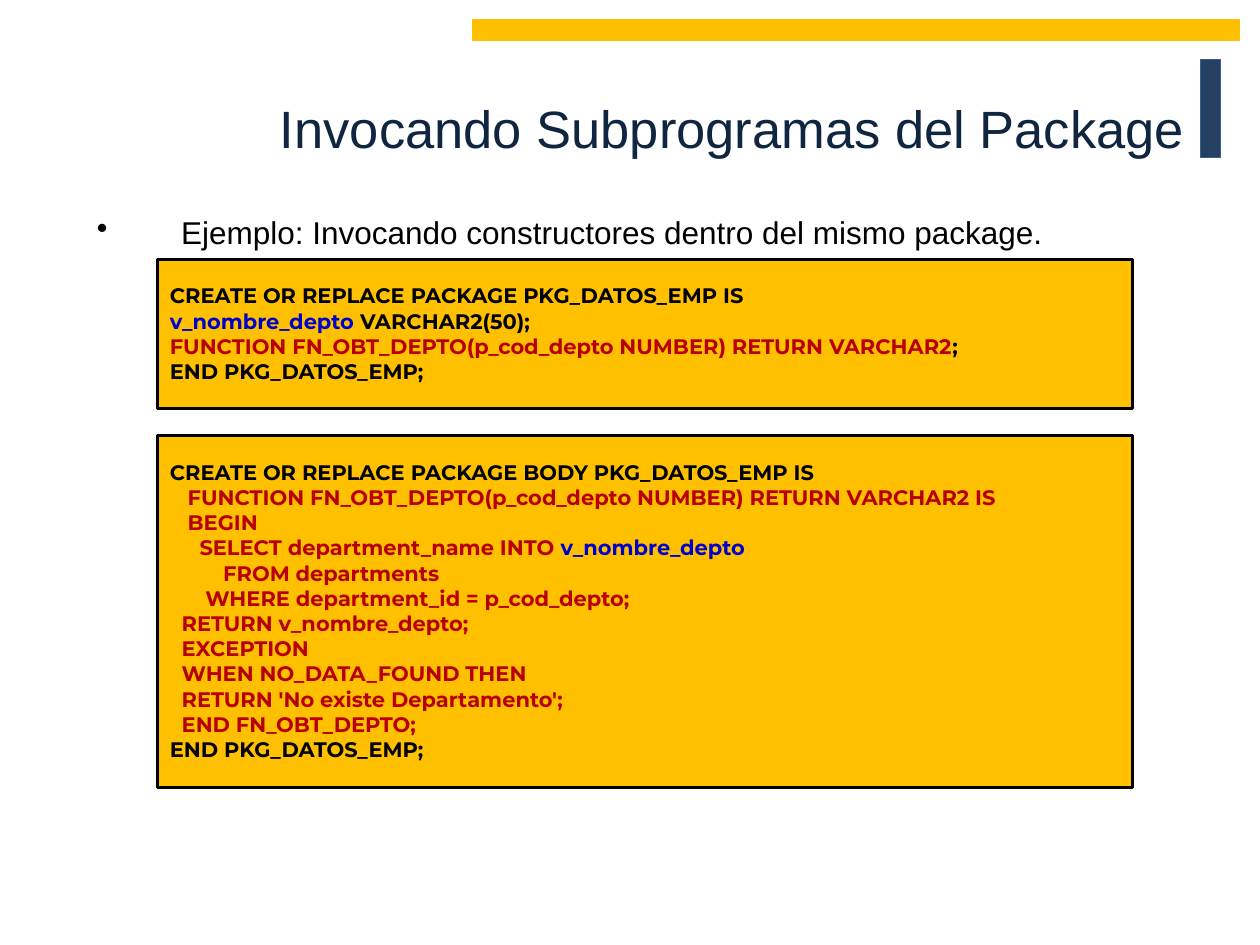
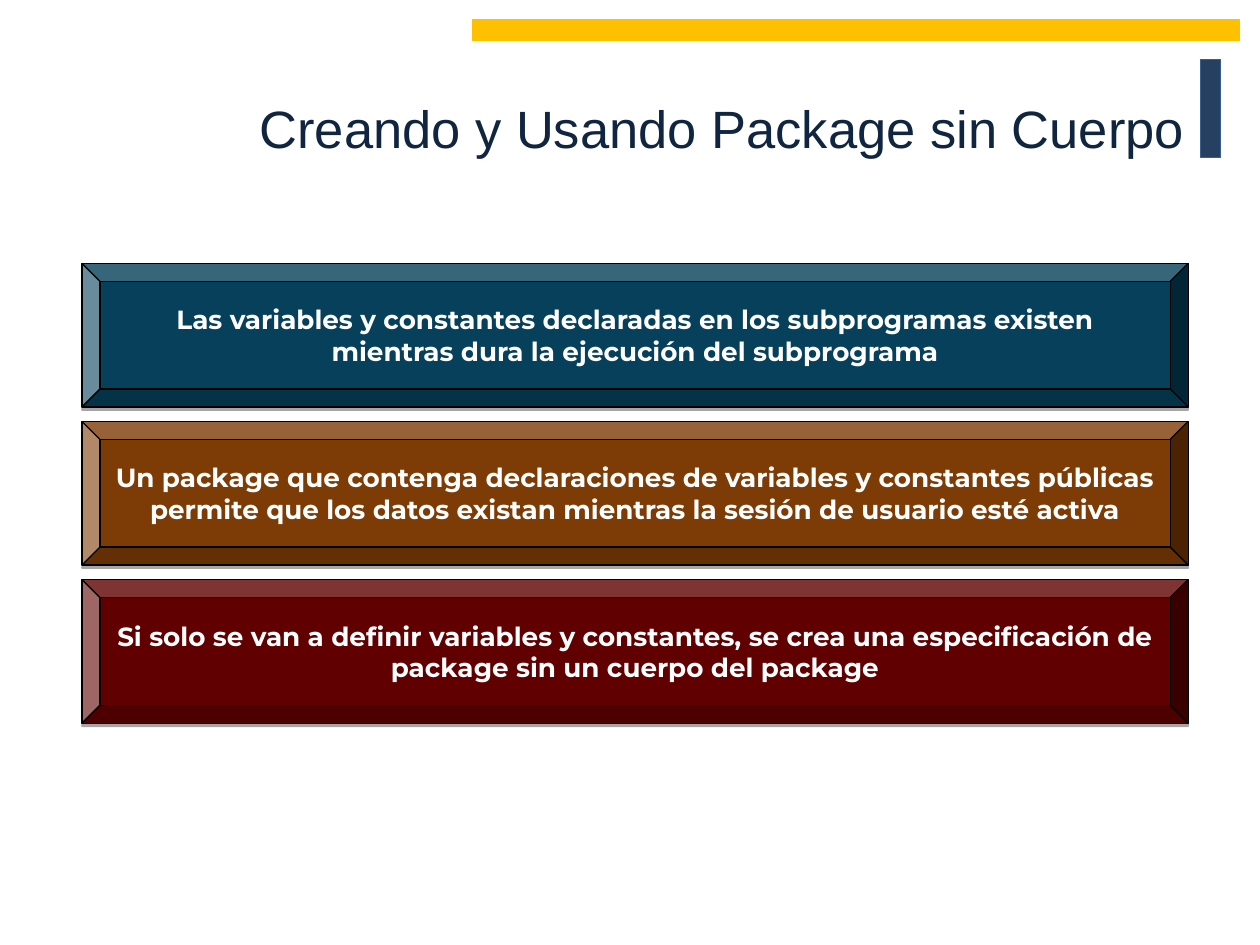
import pptx
import pptx.dml.color
import pptx.enum.shapes
import pptx.enum.text
import pptx.util
from dataclasses import dataclass
from lxml import etree

# Grid: 100 columns by 75 rows of a tenth of an inch
CELL = 0.1
COLUMNS, ROWS = 100, 75

# Shared colours and fonts
NAVY, NAVY_EDGE, TITLE_INK = "254061", "376092", "10253F"
AMBER, BLACK, WHITE = "FFC000", "000000", "FFFFFF"
RED, BLUE = "B80000", "0000CC"
SANS, CODE_FONT = "Arial", "Montserrat"

SHAPES = pptx.enum.shapes.MSO_SHAPE
ALIGN = pptx.enum.text.PP_ALIGN
ANCHOR = pptx.enum.text.MSO_ANCHOR
DRAWING = "http://schemas.openxmlformats.org/drawingml/2006/main"


@dataclass(frozen=True)
class Area:
    column: float
    row: float
    columns: float
    rows: float

    def lengths(self) -> list:
        return [grid(n) for n in (self.column, self.row, self.columns, self.rows)]


@dataclass(frozen=True)
class Block:
    area: Area
    fill: str
    edge: str
    edge_width: float = 0.75
    kind: int = SHAPES.RECTANGLE


@dataclass(frozen=True)
class Style:
    size: float
    font: str
    color: str
    bold: bool = False
    align: int = ALIGN.LEFT


@dataclass(frozen=True)
class Span:
    text: str
    color: str = BLACK


TITLE_AREA = Area(9.8, 2.1, 85.2, 16)
TITLE = Style(30, SANS, TITLE_INK, align=ALIGN.RIGHT)
BODY = Style(18, SANS, BLACK, align=ALIGN.JUSTIFY)
CODE = Style(12, CODE_FONT, BLACK, bold=True)
MESSAGE = Style(15, CODE_FONT, WHITE, bold=True, align=ALIGN.CENTER)
BANDS = [
    Block(Area(95.3, 4.7, 1.6, 7.8), NAVY, NAVY_EDGE),
    Block(Area(37.5, 1.6, 60.9, 1.6), AMBER, AMBER),
]

# Code listings, one list of spans per line
SPECIFICATION = [
    [Span("CREATE OR REPLACE PACKAGE PKG_DATOS_EMP IS")],
    [Span("v_nombre_depto", BLUE), Span(" VARCHAR2(50);")],
    [Span("FUNCTION FN_OBT_DEPTO(p_cod_depto NUMBER) RETURN VARCHAR2", RED), Span(";")],
    [Span("END PKG_DATOS_EMP;")],
]
PACKAGE_BODY = [
    [Span("CREATE OR REPLACE PACKAGE BODY PKG_DATOS_EMP IS")],
    [Span("   FUNCTION FN_OBT_DEPTO(p_cod_depto NUMBER) RETURN VARCHAR2 IS", RED)],
    [Span("   BEGIN", RED)],
    [Span("     SELECT department_name INTO ", RED), Span("v_nombre_depto", BLUE)],
    [Span("         FROM departments", RED)],
    [Span("      WHERE department_id = p_cod_depto;", RED)],
    [Span("  RETURN v_nombre_depto;", RED)],
    [Span("  EXCEPTION", RED)],
    [Span("  WHEN NO_DATA_FOUND THEN", RED)],
    [Span("  RETURN 'No existe Departamento';", RED)],
    [Span("  END FN_OBT_DEPTO;", RED)],
    [Span("END PKG_DATOS_EMP;")],
]
LISTINGS = [
    (Area(12.5, 20.6, 77.4, 11.8), SPECIFICATION),
    (Area(12.5, 34.6, 77.4, 27.9), PACKAGE_BODY),
]

# Bevelled messages, from top to bottom
MESSAGES = [
    ("06405A", "Las variables y constantes declaradas en los subprogramas existen "
               "mientras dura la ejecución del subprograma"),
    ("7D3B05", "Un package que contenga declaraciones de variables y constantes públicas "
               "permite que los datos existan mientras la sesión de usuario esté activa"),
    ("600000", "Si solo se van a definir variables y constantes, se crea una "
               "especificación de package sin un cuerpo del package"),
]
MESSAGE_TOP, MESSAGE_STEP = 20.9, 12.55


def grid(cells: float) -> int:
    return pptx.util.Inches(cells * CELL)


def paint(target, color: str) -> None:
    """Colour a fill or a font."""
    if hasattr(target, "solid"):
        target.solid()
        target.fore_color.rgb = pptx.dml.color.RGBColor.from_string(color)
    else:
        target.color.rgb = pptx.dml.color.RGBColor.from_string(color)


def style_paragraph(para, style: Style, with_color: bool = True) -> None:
    para.alignment = style.align
    para.font.size = pptx.util.Pt(style.size)
    para.font.name = style.font
    para.font.bold = style.bold
    if with_color:
        paint(para.font, style.color)


def draw_block(page, block: Block):
    shape = page.shapes.add_shape(block.kind, *block.area.lengths())
    shape.shadow.inherit = False
    paint(shape.fill, block.fill)
    paint(shape.line.fill, block.edge)
    shape.line.width = pptx.util.Pt(block.edge_width)
    return shape


def draw_text(page, area: Area, text: str, anchor: int):
    box = page.shapes.add_textbox(*area.lengths())
    box.text_frame.word_wrap = True
    box.text_frame.vertical_anchor = anchor
    para = box.text_frame.paragraphs[0]
    para.text = text
    return para


def draw_bullet(page, area: Area, text: str) -> None:
    para = draw_text(page, area, text, ANCHOR.TOP)
    para.line_spacing = 0.8
    properties = para._p.get_or_add_pPr()
    indent = grid(6.7)
    properties.set("marL", str(indent))
    properties.set("indent", str(-indent))
    etree.SubElement(properties, f"{{{DRAWING}}}buChar", char="•")
    style_paragraph(para, BODY)


def draw_listing(page, area: Area, lines: list[list[Span]]) -> None:
    frame = draw_block(page, Block(area, AMBER, BLACK, 1.75)).text_frame
    frame.word_wrap = True
    frame.vertical_anchor = ANCHOR.TOP
    frame.margin_top = grid(1.85)
    for number, spans in enumerate(lines):
        para = frame.add_paragraph() if number else frame.paragraphs[0]
        style_paragraph(para, CODE, with_color=False)
        for span in spans:
            run = para.add_run()
            run.text = span.text
            paint(run.font, span.color)


def drop_shadow(shape) -> None:
    effects = shape._element.spPr.find(f"{{{DRAWING}}}effectLst")
    shadow = etree.SubElement(effects, f"{{{DRAWING}}}outerShdw", blurRad="0",
                              dist=str(pptx.util.Pt(1.8)), dir="5400000",
                              algn="ctr", rotWithShape="0")
    color = etree.SubElement(shadow, f"{{{DRAWING}}}srgbClr", val=BLACK)
    etree.SubElement(color, f"{{{DRAWING}}}alpha", val="35000")


def draw_message(page, row: float, fill: str, text: str) -> None:
    area = Area(6.5, row, 87.8, 11.4)
    shape = draw_block(page, Block(area, fill, BLACK, kind=SHAPES.BEVEL))
    drop_shadow(shape)
    shape.text_frame.word_wrap = True
    shape.text_frame.vertical_anchor = ANCHOR.MIDDLE
    para = shape.text_frame.paragraphs[0]
    para.text = text
    style_paragraph(para, MESSAGE)


def add_page(deck, title: str):
    page = deck.slides.add_slide(deck.slide_layouts[6])
    for band in BANDS:
        draw_block(page, band)
    style_paragraph(draw_text(page, TITLE_AREA, title, ANCHOR.MIDDLE), TITLE)
    return page


def main() -> None:
    deck = pptx.Presentation()
    deck.slide_width, deck.slide_height = grid(COLUMNS), grid(ROWS)

    # Calling subprograms of a package
    page = add_page(deck, "Invocando Subprogramas del Package")
    draw_bullet(page, Area(6.7, 17, 87.4, 4.5),
                "Ejemplo: Invocando constructores dentro del mismo package.")
    for area, lines in LISTINGS:
        draw_listing(page, area, lines)

    # Packages without a body
    page = add_page(deck, "Creando y Usando Package sin Cuerpo")
    for number, (fill, text) in enumerate(MESSAGES):
        draw_message(page, MESSAGE_TOP + number * MESSAGE_STEP, fill, text)

    deck.save("out.pptx")


if __name__ == "__main__":
    main()
